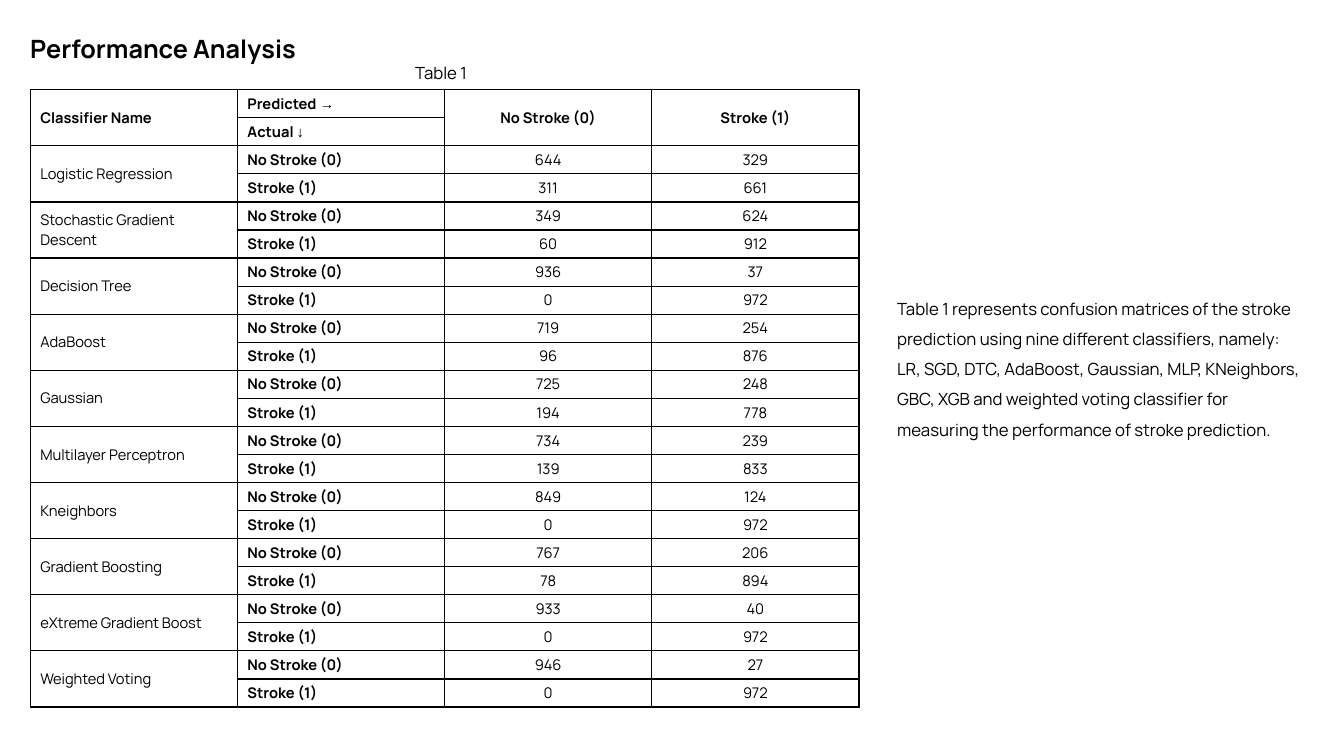
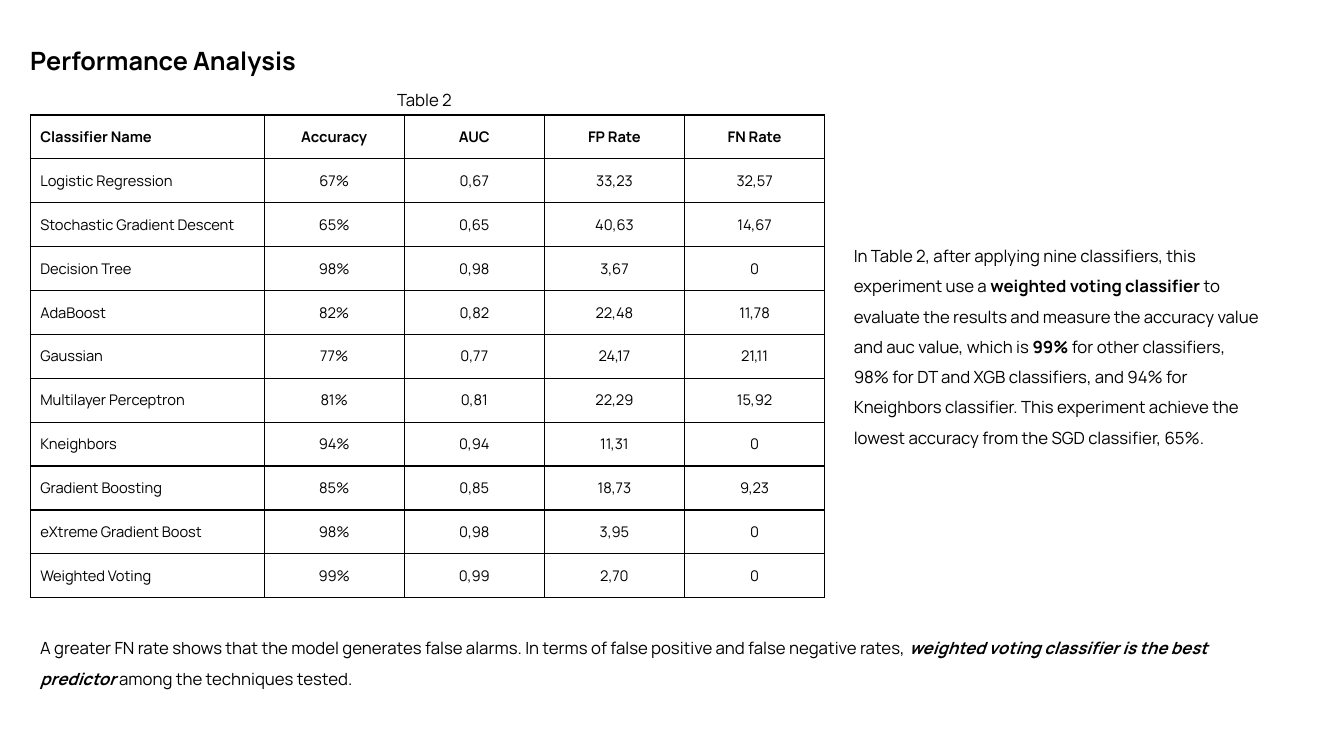
from lxml import etree
from pptx import Presentation
from pptx.dml.color import RGBColor
from pptx.enum.text import MSO_ANCHOR, MSO_AUTO_SIZE, PP_ALIGN
from pptx.oxml.ns import qn
from pptx.util import Inches, Pt

# Shared style
BLACK = RGBColor(0x00, 0x00, 0x00)
FONT, ARROW_FONT = "Manrope", "Times New Roman"
TITLE_SIZE, BODY_SIZE, CELL_SIZE = 18, 12, 10.5
LINE_SPACING = 1.5
TABLE_LEFT = 0.3
BOLD = {"bold": True}
BOLD_ITALIC = {"bold": True, "italic": True}
BOLD_ARROW = {"bold": True, "font": ARROW_FONT}

# Content: texts are lists of (text, style) runs
TITLE = "Performance Analysis"
OUTCOMES = ("No Stroke (0)", "Stroke (1)")
METRICS = ("Accuracy", "AUC", "FP Rate", "FN Rate")
CLASSIFIERS = [
    # name, confusion matrix (one row per actual outcome), metrics
    ("Logistic Regression", ((644, 329), (311, 661)), ("67%", "0,67", "33,23", "32,57")),
    ("Stochastic Gradient Descent", ((349, 624), (60, 912)), ("65%", "0,65", "40,63", "14,67")),
    ("Decision Tree", ((936, 37), (0, 972)), ("98%", "0,98", "3,67", "0")),
    ("AdaBoost", ((719, 254), (96, 876)), ("82%", "0,82", "22,48", "11,78")),
    ("Gaussian", ((725, 248), (194, 778)), ("77%", "0,77", "24,17", "21,11")),
    ("Multilayer Perceptron", ((734, 239), (139, 833)), ("81%", "0,81", "22,29", "15,92")),
    ("Kneighbors", ((849, 124), (0, 972)), ("94%", "0,94", "11,31", "0")),
    ("Gradient Boosting", ((767, 206), (78, 894)), ("85%", "0,85", "18,73", "9,23")),
    ("eXtreme Gradient Boost", ((933, 40), (0, 972)), ("98%", "0,98", "3,95", "0")),
    ("Weighted Voting", ((946, 27), (0, 972)), ("99%", "0,99", "2,70", "0")),
]
MATRIX_NOTE = [
    ("Table 1 represents confusion matrices of the stroke prediction using nine "
     "different classifiers, namely: LR, SGD, DTC, AdaBoost, Gaussian, MLP, "
     "KNeighbors, GBC, XGB and weighted voting classifier for measuring the "
     "performance of stroke prediction.", {}),
]
METRICS_NOTE = [
    ("In Table 2, after applying nine classifiers, this experiment use a ", {}),
    ("weighted voting classifier", BOLD),
    (" to evaluate the results and measure the accuracy value and auc value, "
     "which is ", {}),
    ("99%", BOLD),
    (" for other classifiers, 98% for DT and XGB classifiers, and 94% for "
     "Kneighbors classifier. This experiment achieve the lowest accuracy from "
     "the SGD classifier, 65%.", {}),
]
CONCLUSION = [
    ("A greater FN rate shows that the model generates false alarms. In terms of "
     "false positive and false negative rates, ", {}),
    ("weighted voting classifier is the best predictor", BOLD_ITALIC),
    (" among the techniques tested.", {}),
]


def write_runs(p, runs, size):
    for text, style in runs:
        r = p.add_run()
        r.text = text
        r.font.size = Pt(size)
        r.font.name = style.get("font", FONT)
        r.font.bold = style.get("bold", False)
        r.font.italic = style.get("italic", False)
        r.font.color.rgb = BLACK


def fill_box(s, box, runs, size, wrap=True, spacing=LINE_SPACING):
    s.left, s.top, s.width, s.height = map(Inches, box)
    tf = s.text_frame
    tf.word_wrap = wrap
    tf.auto_size = MSO_AUTO_SIZE.SHAPE_TO_FIT_TEXT
    tf.vertical_anchor = MSO_ANCHOR.TOP
    p = tf.paragraphs[0]
    p.alignment = PP_ALIGN.LEFT
    p.line_spacing = spacing
    write_runs(p, runs, size)


def add_text(slide, box, runs, **options):
    s = slide.shapes.add_textbox(*map(Inches, box))
    fill_box(s, box, runs, BODY_SIZE, **options)


def add_titled_slide(prs, top):
    slide = prs.slides.add_slide(prs.slide_layouts[5])
    fill_box(slide.shapes.title, (0.2, top, 3.07, 0.51), [(TITLE, BOLD)],
             TITLE_SIZE, wrap=False)
    return slide


def add_borders(cell):
    tc_pr = cell._tc.get_or_add_tcPr()
    for i, side in enumerate(("lnL", "lnR", "lnT", "lnB")):
        ln = etree.Element(qn(f"a:{side}"), w=str(Pt(1)))
        fill = etree.SubElement(ln, qn("a:solidFill"))
        etree.SubElement(fill, qn("a:srgbClr"), val=str(BLACK))
        tc_pr.insert(i, ln)


def add_grid(slide, top, height, col_widths, rows, left_cols):
    """Rows hold run lists; None continues the cell above."""
    table = slide.shapes.add_table(
        len(rows), len(col_widths), Inches(TABLE_LEFT), Inches(top),
        Inches(sum(col_widths)), Inches(height)).table
    table.first_row = table.horz_banding = False
    for col, width in zip(table.columns, col_widths):
        col.width = Inches(width)
    for row in table.rows:
        row.height = Inches(height / len(rows))
    for i, row in enumerate(rows):
        for j, runs in enumerate(row):
            cell = table.cell(i, j)
            cell.fill.background()
            add_borders(cell)
            cell.margin_top = cell.margin_bottom = Inches(0.03)
            cell.vertical_anchor = MSO_ANCHOR.MIDDLE
            if runs is None:
                table.cell(i - 1, j).merge(cell)
                continue
            p = cell.text_frame.paragraphs[0]
            p.alignment = PP_ALIGN.LEFT if j < left_cols else PP_ALIGN.CENTER
            write_runs(p, runs, CELL_SIZE)


def cells(values, style):
    return [[(str(value), style)] for value in values]


def build_matrix_slide(prs):
    slide = add_titled_slide(prs, 0.13)
    name_head, *outcome_heads = cells(("Classifier Name", *OUTCOMES), BOLD)
    rows = [
        [name_head, [("Predicted ", BOLD), ("→", BOLD_ARROW)], *outcome_heads],
        [None, [("Actual ", BOLD), ("↓", BOLD_ARROW)], None, None],
    ]
    for name, matrix, _ in CLASSIFIERS:
        for k, (outcome, counts) in enumerate(zip(OUTCOMES, matrix)):
            label = None if k else [(name, {})]
            rows.append([label, [(outcome, BOLD)], *cells(counts, {})])
    add_grid(slide, 0.89, 6.13, [2.055] * 4, rows, left_cols=2)
    add_text(slide, (4.02, 0.57, 0.77, 0.3), [("Table 1", {})], wrap=False, spacing=1.0)
    add_text(slide, (8.8, 2.81, 4.24, 1.89), MATRIX_NOTE)


def build_metrics_slide(prs):
    slide = add_titled_slide(prs, 0.25)
    rows = [cells(("Classifier Name", *METRICS), BOLD)]
    rows += [cells((name, *metrics), {}) for name, _, metrics in CLASSIFIERS]
    add_text(slide, (3.84, 0.84, 0.81, 0.3), [("Table 2", {})], wrap=False, spacing=1.0)
    add_text(slide, (8.37, 2.29, 4.24, 2.5), METRICS_NOTE)
    add_grid(slide, 1.14, 4.79, [2.32] + [1.39] * 4, rows, left_cols=1)
    add_text(slide, (0.3, 6.18, 12.01, 0.68), CONCLUSION)


def main():
    prs = Presentation()
    prs.slide_width, prs.slide_height = Inches(13.33), Inches(7.5)
    build_matrix_slide(prs)
    build_metrics_slide(prs)
    prs.save("out.pptx")


if __name__ == "__main__":
    main()
